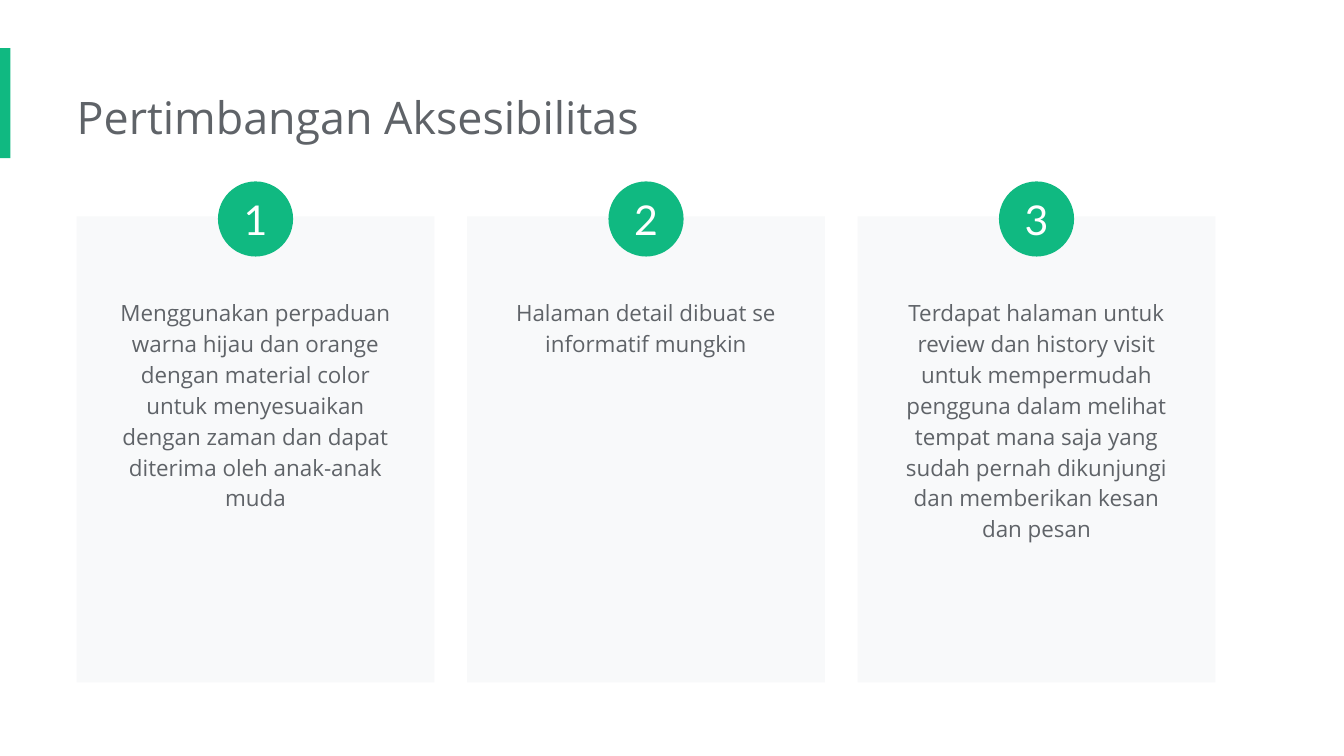
from dataclasses import dataclass

from pptx import Presentation
from pptx.dml.color import RGBColor
from pptx.enum import shapes, text
from pptx.util import Cm, Pt


@dataclass(frozen=True)
class Theme:
    green: str = "10B981"
    panel: str = "F8F9FA"
    ink: str = "5F6368"
    white: str = "FFFFFF"
    text_font: str = "Open Sans"
    number_font: str = "Lato"
    title_size: int = 24
    body_size: int = 12
    number_size: int = 22


THEME = Theme()

MARGIN = 1.45
CARD_WIDTH, CARD_HEIGHT, CARD_TOP = 6.76, 8.81, 4.09
CARD_STEP = 7.38
BODY_WIDTH, BODY_TOP = 5.69, 5.33
BADGE_SIZE, BADGE_TOP = 1.42, 3.43

# Wording and text height (cm) of each card
CONSIDERATIONS = [
    ("Menggunakan perpaduan warna hijau dan orange dengan material color "
     "untuk menyesuaikan dengan zaman dan dapat diterima oleh anak-anak muda", 4.65),
    ("Halaman detail dibuat se informatif mungkin", 2.29),
    ("Terdapat halaman untuk review dan history visit untuk mempermudah "
     "pengguna dalam melihat tempat mana saja yang sudah pernah dikunjungi "
     "dan memberikan kesan dan pesan", 5.82),
]


def add_filled(slide, preset, left, top, width, height, color):
    shape = slide.shapes.add_shape(preset, Cm(left), Cm(top), Cm(width), Cm(height))
    shape.shadow.inherit = False
    shape.fill.solid()
    shape.fill.fore_color.rgb = RGBColor.from_string(color)
    shape.line.fill.background()
    return shape


def set_margins(frame, left, top, right, bottom):
    frame.margin_left, frame.margin_top = Cm(left), Cm(top)
    frame.margin_right, frame.margin_bottom = Cm(right), Cm(bottom)


def write(frame, wording, size, font, color, align):
    """Put one formatted run into the frame and return its paragraph."""
    frame.word_wrap = True
    paragraph = frame.paragraphs[0]
    paragraph.alignment = align
    run = paragraph.add_run()
    run.text = wording
    run.font.size = Pt(size)
    run.font.name = font
    run.font.color.rgb = RGBColor.from_string(color)
    return paragraph


def add_title(slide, wording):
    title = slide.shapes.title
    title.left, title.top = Cm(MARGIN), Cm(1.45)
    title.width, title.height = Cm(19.46), Cm(1.55)
    frame = title.text_frame
    set_margins(frame, 0, 0.25, 0.25, 0.25)
    frame.vertical_anchor = text.MSO_ANCHOR.TOP
    frame.auto_size = text.MSO_AUTO_SIZE.SHAPE_TO_FIT_TEXT
    write(frame, wording, THEME.title_size, THEME.text_font, THEME.ink,
          text.PP_ALIGN.LEFT)


def add_card(slide, left, wording, body_height):
    add_filled(slide, shapes.MSO_SHAPE.RECTANGLE, left, CARD_TOP,
               CARD_WIDTH, CARD_HEIGHT, THEME.panel)
    body_left = left + (CARD_WIDTH - BODY_WIDTH) / 2
    body = slide.shapes.add_textbox(Cm(body_left), Cm(BODY_TOP),
                                    Cm(BODY_WIDTH), Cm(body_height))
    frame = body.text_frame
    set_margins(frame, 0.25, 0.25, 0.25, 0.25)
    frame.auto_size = text.MSO_AUTO_SIZE.SHAPE_TO_FIT_TEXT
    paragraph = write(frame, wording, THEME.body_size, THEME.text_font, THEME.ink,
                      text.PP_ALIGN.CENTER)
    paragraph.line_spacing = 1.15


def add_badge(slide, card_left, number):
    """Centre a numbered circle on the upper edge of a card."""
    left = card_left + (CARD_WIDTH - BADGE_SIZE) / 2
    badge = add_filled(slide, shapes.MSO_SHAPE.OVAL, left, BADGE_TOP,
                       BADGE_SIZE, BADGE_SIZE, THEME.green)
    frame = badge.text_frame
    set_margins(frame, 0, 0, 0, 0)
    frame.vertical_anchor = text.MSO_ANCHOR.MIDDLE
    write(frame, str(number), THEME.number_size, THEME.number_font, THEME.white,
          text.PP_ALIGN.CENTER)


def main():
    deck = Presentation()
    deck.slide_width, deck.slide_height = Cm(25.4), Cm(14.29)
    slide = deck.slides.add_slide(deck.slide_layouts.get_by_name("Title Only"))
    add_filled(slide, shapes.MSO_SHAPE.RECTANGLE, 0, 0.91, 0.2, 2.08, THEME.green)
    add_title(slide, "Pertimbangan Aksesibilitas")
    card_lefts = [MARGIN + i * CARD_STEP for i in range(len(CONSIDERATIONS))]
    for left, (wording, body_height) in zip(card_lefts, CONSIDERATIONS):
        add_card(slide, left, wording, body_height)
    for number, left in enumerate(card_lefts, start=1):
        add_badge(slide, left, number)
    deck.save("out.pptx")


if __name__ == "__main__":
    main()
